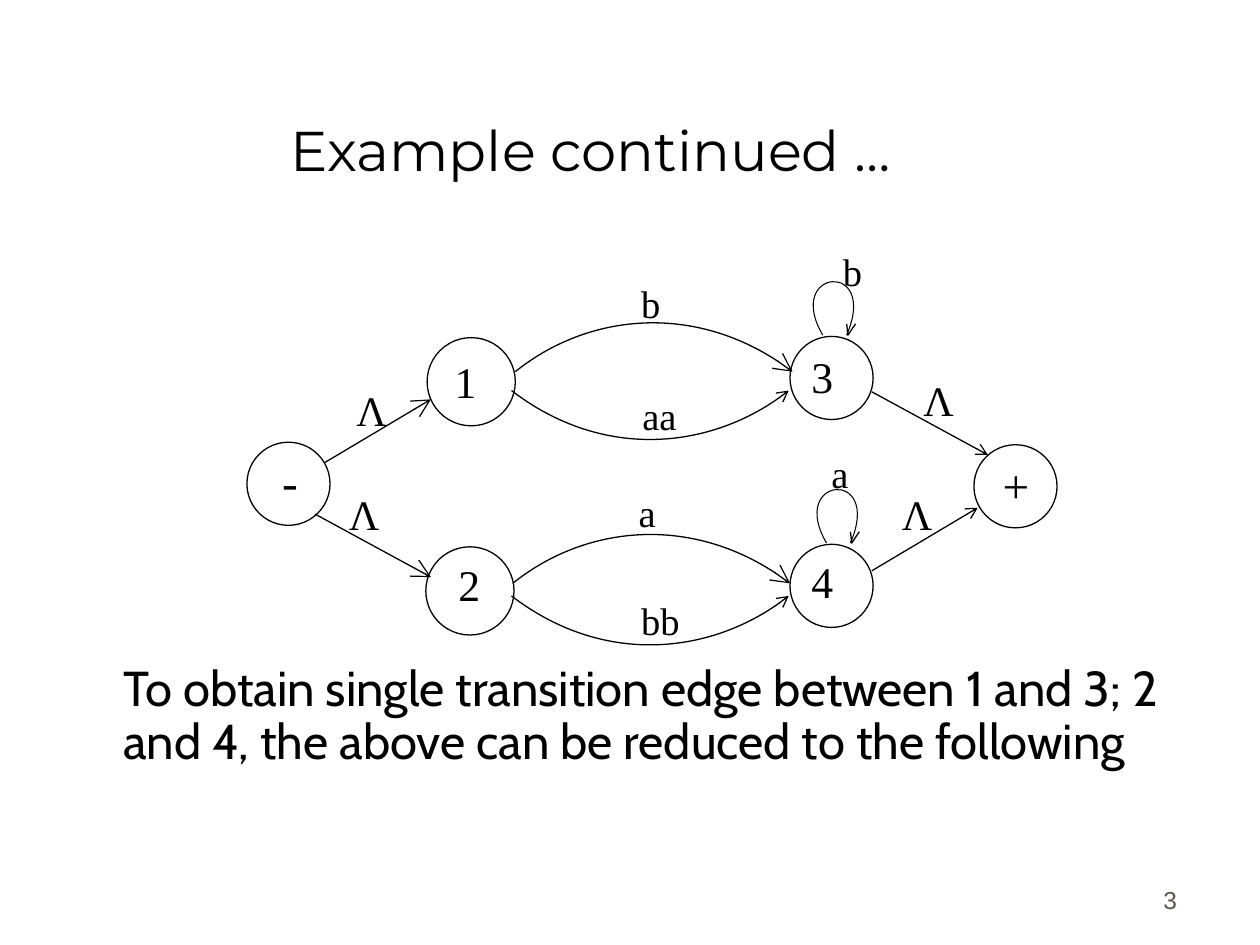
from dataclasses import dataclass

import pptx
import pptx.util
from lxml import etree
from pptx.dml.color import RGBColor
from pptx.enum.shapes import MSO_CONNECTOR, MSO_SHAPE
from pptx.enum.text import MSO_ANCHOR, PP_ALIGN
from pptx.oxml.ns import qn
from pptx.util import Inches


@dataclass(frozen=True)
class Theme:
    ink: str = "000000"
    paper: str = "FFFFFF"
    muted: str = "5E574E"
    title_font: str = "Montserrat"
    body_font: str = "Cabin"
    number_font: str = "Arial"
    diagram_font: str = "Times New Roman"
    title: int = 32
    body: int = 28
    sign: int = 27
    state: int = 25
    empty_word: int = 24
    edge: int = 22
    number: int = 14
    line: float = 0.75
    loop_line: float = 0.6


theme = Theme()
presentation = pptx.Presentation()
presentation.slide_width = Inches(10)
presentation.slide_height = Inches(7.5)
slide = presentation.slides.add_slide(presentation.slide_layouts[6])
shapes = slide.shapes


def add_text(text, left, top, width, height, size, font=theme.diagram_font,
             color=theme.ink, align=PP_ALIGN.LEFT, anchor=MSO_ANCHOR.TOP):
    box = shapes.add_textbox(Inches(left), Inches(top), Inches(width), Inches(height))
    frame = box.text_frame
    frame.word_wrap = True
    frame.vertical_anchor = anchor
    frame.text = text
    paragraph = frame.paragraphs[0]
    paragraph.alignment = align
    run = paragraph.runs[0]
    run.font.name = font
    run.font.size = pptx.util.Pt(size)
    run.font.color.rgb = RGBColor.from_string(color)
    return paragraph


def add_path(points, curved=True, arrow_size=None, width=theme.line):
    """Draw an open path; a curved one takes four cubic Bezier points."""
    (start_x, start_y), *rest = [(Inches(x), Inches(y)) for x, y in points]
    builder = shapes.build_freeform(start_x, start_y)
    builder.add_line_segments(rest, close=False)
    shape = builder.convert_to_shape()
    shape.shadow.inherit = False
    shape.fill.background()
    shape.line.color.rgb = RGBColor.from_string(theme.ink)
    shape.line.width = pptx.util.Pt(width)
    if curved:
        path = shape._element.find(".//" + qn("a:path"))
        curve = etree.SubElement(path, qn("a:cubicBezTo"))
        for segment in path.findall(qn("a:lnTo")):
            curve.append(segment[0])
            path.remove(segment)
    if arrow_size:
        etree.SubElement(shape.line._get_or_add_ln(), qn("a:tailEnd"),
                         type="arrow", w=arrow_size, len=arrow_size)


add_text("Example continued …", 0.44, 0.25, 8.5, 1.25, theme.title, theme.title_font,
         align=PP_ALIGN.CENTER, anchor=MSO_ANCHOR.BOTTOM)
explanation = add_text(
    "To obtain single transition edge between 1 and 3; 2 and 4, "
    "the above can be reduced to the following",
    0.88, 5.22, 8.56, 1.4, theme.body, theme.body_font)
explanation.line_spacing = 0.9
add_text("3", 7.36, 6.81, 2.08, 0.5, theme.number, theme.number_font, theme.muted,
         PP_ALIGN.RIGHT, MSO_ANCHOR.BOTTOM)

# States: name, circle left, top, diameter, label left, top, label size
states = [
    ("1", 3.39, 2.68, 0.7, 3.51, 2.77, theme.state),
    ("2", 3.38, 4.34, 0.7, 3.54, 4.38, theme.state),
    ("3", 6.27, 2.67, 0.66, 6.34, 2.73, theme.state),
    ("4", 6.27, 4.32, 0.66, 6.34, 4.35, theme.state),
    ("-", 1.96, 3.51, 0.66, 2.14, 3.54, theme.sign),
    ("+", 7.73, 3.53, 0.66, 7.86, 3.57, theme.sign),
]
for name, left, top, diameter, label_left, label_top, size in states:
    circle = shapes.add_shape(MSO_SHAPE.OVAL, Inches(left), Inches(top),
                              Inches(diameter), Inches(diameter))
    circle.shadow.inherit = False
    circle.fill.solid()
    circle.fill.fore_color.rgb = RGBColor.from_string(theme.paper)
    circle.line.color.rgb = RGBColor.from_string(theme.ink)
    circle.line.width = pptx.util.Pt(theme.line)
    add_text(name, label_left, label_top, 1.02, 0.42, size)

# Straight edges: from, to, arrowhead size
straight_edges = [
    (2.58, 3.67, 3.42, 3.17, "lg"),
    (2.5, 4.08, 3.42, 4.58, "lg"),
    (6.92, 4.53, 7.76, 4.03, "med"),
    (6.92, 3.11, 7.84, 3.61, "med"),
]
for start_x, start_y, end_x, end_y, arrow_size in straight_edges:
    edge = shapes.add_connector(MSO_CONNECTOR.STRAIGHT, Inches(start_x), Inches(start_y),
                                Inches(end_x), Inches(end_y))
    edge.line.color.rgb = RGBColor.from_string(theme.ink)
    edge.line.width = pptx.util.Pt(theme.line)
    etree.SubElement(edge.line._get_or_add_ln(), qn("a:tailEnd"),
                     type="arrow", w=arrow_size, len=arrow_size)
    etree.SubElement(edge._element.spPr, qn("a:effectLst"))

# Upper and lower arcs of each row of states
for x, y in [(4.09, 2.95), (4.07, 4.63)]:
    add_path([(x, y), (x + 0.56, y - 0.45), (x + 1.47, y - 0.56), (x + 2.2, y)],
             arrow_size="lg")
for x, y in [(4.06, 3.1), (4.06, 4.73)]:
    add_path([(x, y), (x + 0.73, y + 0.56), (x + 1.64, y + 0.45), (x + 2.2, y)],
             arrow_size="med")

# Self-loops with open arrowheads
for x, y in [(6.53, 2.66), (6.56, 4.31)]:
    add_path([(x, y), (x - 0.31, y - 0.53), (x + 0.45, y - 0.6), (x + 0.19, y)],
             width=theme.loop_line)
    add_path([(x + 0.19, y - 0.09), (x + 0.2, y), (x + 0.26, y - 0.09)], curved=False)

edge_labels = [
    ("b", 4.99, 2.17), ("aa", 5, 3.06), ("a", 4.97, 3.83), ("bb", 4.99, 4.69),
    ("b", 6.59, 1.92), ("a", 6.5, 3.52),
]
for label, left, top in edge_labels:
    add_text(label, left, top, 0.41 if len(label) == 1 else 0.6, 0.4, theme.edge)

for left, top in [(2.73, 3), (2.67, 3.83), (7.23, 2.92), (7.06, 3.83)]:
    add_text("Λ", left, top, 0.44, 0.5, theme.empty_word)

presentation.save("out.pptx")
